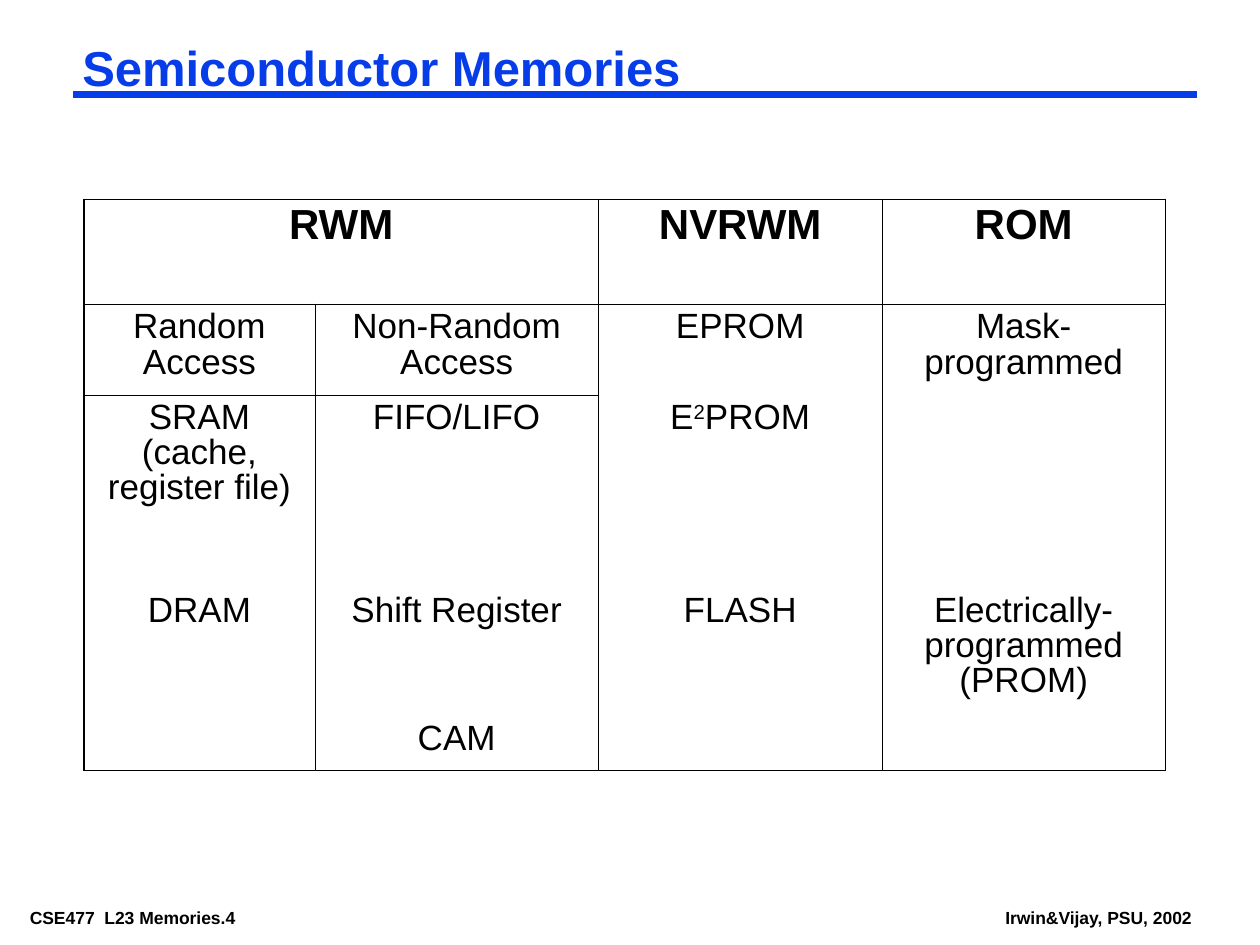
import dataclasses

import lxml.etree
import pptx
import pptx.dml.color
import pptx.enum.shapes
import pptx.enum.text
import pptx.oxml.ns
import pptx.util

# Grid: twelve units to the inch, 120 columns by 90 rows
COLS, ROWS = 120, 90
WIDE, HIGH = pptx.util.Inches(10), pptx.util.Inches(7.5)
HUES = {"blue": "063DE8", "black": "000000"}
QN = pptx.oxml.ns.qn
THIN, THICK = 0.45, 1.08


@dataclasses.dataclass
class Style:
    size: float
    hue: str = "black"
    bold: bool = False
    lead: float = 1.0
    centre: bool = False


@dataclasses.dataclass
class Label:
    text: str
    col: float
    row: float
    wide: float
    high: float
    style: Style
    wrap: bool = False


HEAD = Style(24, bold=True, lead=0.9, centre=True)
BODY = Style(20, lead=0.9, centre=True)
FOOT = Style(10, bold=True)
TITLE = Style(28, "blue", bold=True, lead=0.87)

LABELS = [
    Label("CSE477  L23 Memories.4", 2, 86, 28.3, 2.64, FOOT),
    Label("Irwin&Vijay, PSU, 2002", 94.9, 86, 19.6, 2.64, FOOT),
    Label("Semiconductor Memories", 7, 4, 107, 5.5, TITLE, True),
]

# Table text; carets enclose a superscript, newlines part paragraphs
CELLS = [
    ["RWM", "", "NVRWM", "ROM"],
    ["Random Access", "Non-Random Access", "EPROM", "Mask-programmed"],
    ["SRAM (cache, register file)", "FIFO/LIFO", "E^2^PROM", ""],
    ["DRAM", "Shift Register\nCAM", "FLASH", "Electrically-programmed (PROM)"],
]
SPANS = [22, 27, 27, 27]
TALLS = [10, 8.64, 18.36, 17.4]
PART_GAP = 53


def across(units: float) -> int:
    return round(WIDE * units / COLS)


def down(units: float) -> int:
    return round(HIGH * units / ROWS)


def colour(name: str) -> pptx.dml.color.RGBColor:
    return pptx.dml.color.RGBColor.from_string(HUES[name])


def write(frame, text: str, style: Style) -> None:
    for num, line in enumerate(text.split("\n")):
        para = frame.add_paragraph() if num else frame.paragraphs[0]
        para.line_spacing = style.lead
        if style.centre:
            para.alignment = pptx.enum.text.PP_ALIGN.CENTER
        if num:
            para.space_before = pptx.util.Pt(PART_GAP)
        for part, piece in enumerate(line.split("^")):
            run = para.add_run()
            run.text = piece
            form = {"name": "Arial", "size": pptx.util.Pt(style.size),
                    "bold": style.bold}
            for key, value in form.items():
                setattr(run.font, key, value)
            run.font.color.rgb = colour(style.hue)
            if part % 2:
                run.font._element.set("baseline", "30000")


def draw_label(slide, item: Label) -> None:
    box = slide.shapes.add_textbox(across(item.col), down(item.row),
                                   across(item.wide), down(item.high))
    side, edge = pptx.util.Inches(0.07), pptx.util.Inches(0.03)
    form = {"margin_left": side, "margin_right": side, "margin_top": edge,
            "margin_bottom": edge, "word_wrap": item.wrap}
    for key, value in form.items():
        setattr(box.text_frame, key, value)
    write(box.text_frame, item.text, item.style)


def draw_rule(slide) -> None:
    rule = slide.shapes.add_connector(
        pptx.enum.shapes.MSO_CONNECTOR.STRAIGHT,
        across(7), down(9), across(114), down(9))
    rule.line.color.rgb = colour("blue")
    rule.line.width = pptx.util.Pt(4.5)
    lxml.etree.SubElement(rule._element.spPr, QN("a:effectLst"))


def level(edge: int, col: int) -> float:
    """Width of the line above row number edge; zero where none shows."""
    if edge in (0, 1, len(TALLS)):
        return THICK
    return THIN if edge == 2 and col < 2 else 0


def upright(edge: int, row: int) -> float:
    """Width of the line left of column number edge."""
    if edge in (0, len(SPANS)):
        return THICK
    return 0 if row == 0 and edge == 1 else THIN


def border(cell, row: int, col: int) -> None:
    props = cell._tc.get_or_add_tcPr()
    sides = {"L": upright(col, row), "R": upright(col + 1, row),
             "T": level(row, col), "B": level(row + 1, col)}
    for spot, (side, width) in enumerate(sides.items()):
        line = lxml.etree.Element(QN(f"a:ln{side}"))
        line.set("w", str(pptx.util.Pt(width)))
        if width:
            fill = lxml.etree.SubElement(line, QN("a:solidFill"))
            lxml.etree.SubElement(fill, QN("a:srgbClr"), val=HUES["black"])
        else:
            lxml.etree.SubElement(line, QN("a:noFill"))
        props.insert(spot, line)


def draw_table(slide) -> None:
    table = slide.shapes.add_table(
        len(TALLS), len(SPANS), across(8), down(19),
        across(sum(SPANS)), down(sum(TALLS))).table
    for key in ("first_row", "horz_banding"):
        setattr(table, key, False)
    for col, span in zip(table.columns, SPANS):
        col.width = across(span)
    for row, tall in zip(table.rows, TALLS):
        row.height = down(tall)
    table.cell(0, 0).merge(table.cell(0, 1))
    for row, texts in enumerate(CELLS):
        for col, text in enumerate(texts):
            cell = table.cell(row, col)
            cell.fill.background()
            border(cell, row, col)
            if text:
                write(cell.text_frame, text, BODY if row else HEAD)


def main() -> None:
    deck = pptx.Presentation()
    deck.slide_width, deck.slide_height = WIDE, HIGH
    slide = deck.slides.add_slide(deck.slide_layouts[6])
    # Rule under the title, then title and footers
    draw_rule(slide)
    for item in LABELS:
        draw_label(slide, item)
    # Table of memory kinds
    draw_table(slide)
    deck.save("out.pptx")


if __name__ == "__main__":
    main()
